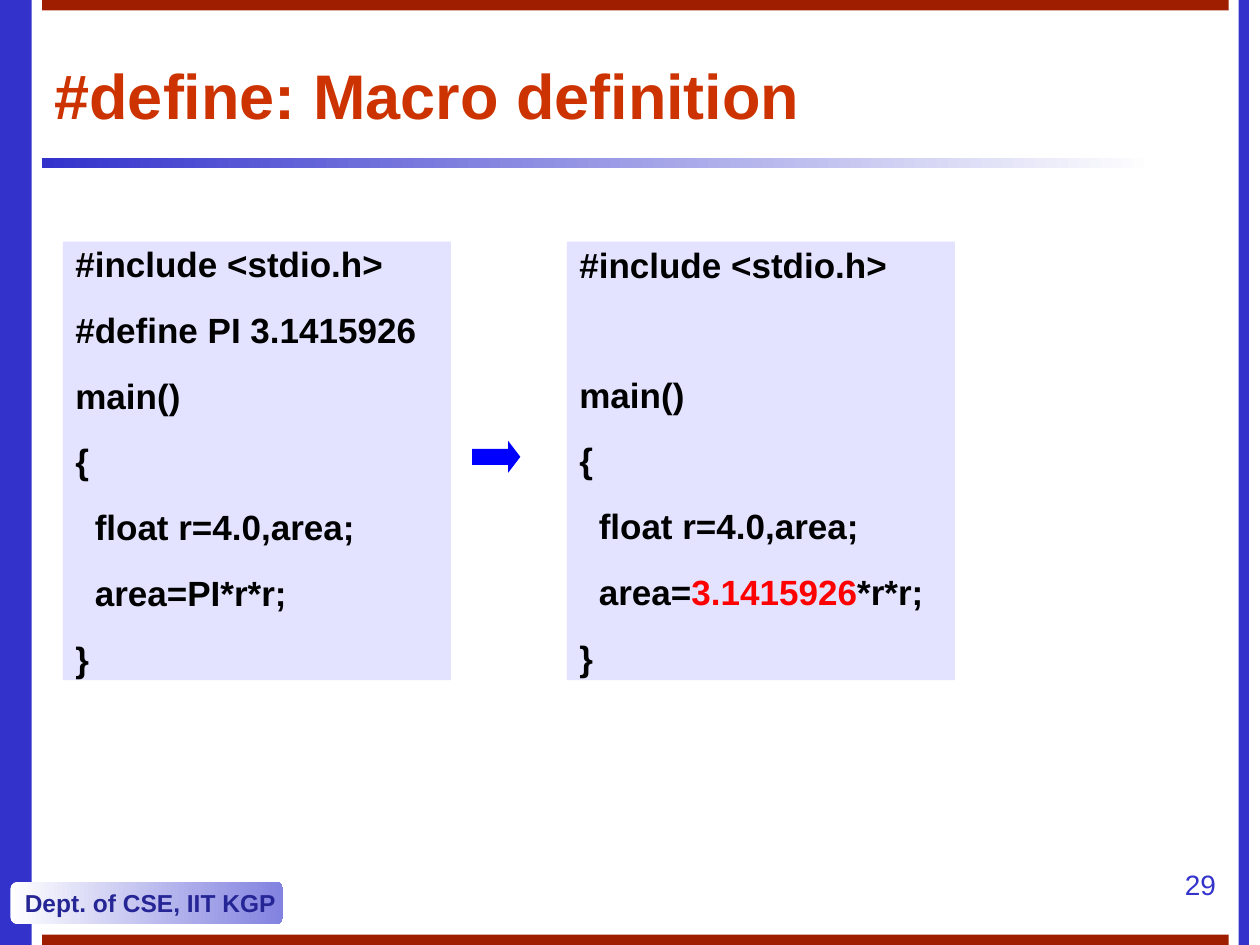
from pptx import Presentation
from pptx import util as u
from pptx.dml.color import RGBColor
from pptx.enum import shapes, text

COLORS = {
    "blue": "3333CC", "brick": "A01E00", "title": "CC3300", "white": "FFFFFF",
    "lilac": "8282E0", "navy": "252595", "panel": "E3E3FF", "black": "000000",
    "red": "FF0000", "arrow": "0000FF",
}
WIDTH, HEIGHT = 25.4, 19.05
BAR = 0.21
LINE_GAP, LINE_PITCH = 13.6, 36.6


def rgb(name):
    """Return the named colour."""
    return RGBColor.from_string(COLORS[name])


def add_block(s, box, fill, kind=shapes.MSO_SHAPE.RECTANGLE):
    """Draw a borderless shape; a pair of colours makes a left-to-right gradient."""
    sp = s.shapes.add_shape(kind, *map(u.Cm, box))
    sp.shadow.inherit = False
    sp.line.fill.background()
    if isinstance(fill, tuple):
        sp.fill.gradient()
        sp.fill.gradient_angle = 0
        for stop, name, position in zip(sp.fill.gradient_stops, fill, (0, 1)):
            stop.color.rgb = rgb(name)
            stop.position = position
    else:
        sp.fill.solid()
        sp.fill.fore_color.rgb = rgb(fill)
    return sp


def style(p, size, color, bold=True, align=text.PP_ALIGN.LEFT):
    """Set the font and alignment of a paragraph."""
    p.alignment = align
    p.font.name = "Arial"
    p.font.size = u.Pt(size)
    p.font.bold = bold
    p.font.color.rgb = rgb(color)


def add_label(s, box, words, size, color, anchor=text.MSO_ANCHOR.TOP, **options):
    """Place one line of text in a text box."""
    tf = s.shapes.add_textbox(*map(u.Cm, box)).text_frame
    tf.word_wrap = True
    tf.vertical_anchor = anchor
    tf.text = words
    style(tf.paragraphs[0], size, color, **options)


def add_frame(s, left, top, width, height):
    """Draw the side bands, the edge bars and the department badge."""
    add_block(s, (left, top, 0.64, height), "blue")
    add_block(s, (left + width - 0.43, top, BAR, height), "blue")
    for y in (top, top + height - BAR):
        add_block(s, (left + 0.85, y, 23.92, BAR), "brick")
    badge = add_block(s, (left + 0.21, top + 17.78, 5.5, 0.85), ("white", "lilac"),
                      shapes.MSO_SHAPE.ROUNDED_RECTANGLE)
    tf = badge.text_frame
    tf.word_wrap = False
    tf.vertical_anchor = text.MSO_ANCHOR.MIDDLE
    tf.text = "Dept. of CSE, IIT KGP"
    style(tf.paragraphs[0], 14, "navy")


def add_heading(s, left, top, width, height):
    """Place the title with its fading rule below."""
    add_block(s, (left, top + height + 0.21, 22.44, BAR), ("blue", "white"))
    add_label(s, (left, top, width, height), "#define: Macro definition", 36, "title",
              anchor=text.MSO_ANCHOR.MIDDLE)


def add_code(s, box, lines, highlight=None):
    """Fill a panel with code; None skips a line and the highlight is red."""
    tf = add_block(s, box, "panel").text_frame
    tf.word_wrap = True
    tf.vertical_anchor = text.MSO_ANCHOR.MIDDLE
    gap = 0
    for i, line in enumerate(lines):
        if line is None:
            gap += LINE_PITCH
            continue
        p = tf.add_paragraph() if i else tf.paragraphs[0]
        p.space_before = u.Pt(gap)
        style(p, 20, "black")
        gap = LINE_GAP
        if highlight and highlight in line:
            before, after = line.split(highlight)
            for part in (before, highlight, after):
                r = p.add_run()
                r.text = part
                r.font.color.rgb = rgb("red" if part == highlight else "black")
        else:
            p.add_run().text = line


def add_expansion(s, left, top, width, height):
    """Show the program before and after macro expansion, with an arrow between."""
    panel = 7.82
    pi = "3.1415926"
    versions = ((left, f"#define PI {pi}", "PI", None),
                (left + width - panel, None, pi, pi))
    for x, define, value, highlight in versions:
        lines = ("#include <stdio.h>", define, "main()", "{",
                 "  float r=4.0,area;", f"  area={value}*r*r;", "}")
        add_code(s, (x, top, panel, height), lines, highlight)
    arrow = add_block(s, (left + panel + 0.43, top + 4.02, 0.97, 0.64), "arrow",
                      shapes.MSO_SHAPE.RIGHT_ARROW)
    arrow.adjustments[1] = 0.38


def main():
    """Build and save the slide."""
    prs = Presentation()
    prs.slide_width, prs.slide_height = u.Cm(WIDTH), u.Cm(HEIGHT)
    s = prs.slides.add_slide(prs.slide_layouts[6])
    add_frame(s, 0, 0, WIDTH, HEIGHT)
    add_heading(s, 0.85, 0.85, 23.92, 2.12)
    add_expansion(s, 1.27, 4.87, 17.98, 8.84)
    add_label(s, (23.28, 17.36, 1.48, 1.27), "29", 16, "blue",
              bold=False, align=text.PP_ALIGN.RIGHT)
    prs.save("out.pptx")


if __name__ == "__main__":
    main()
